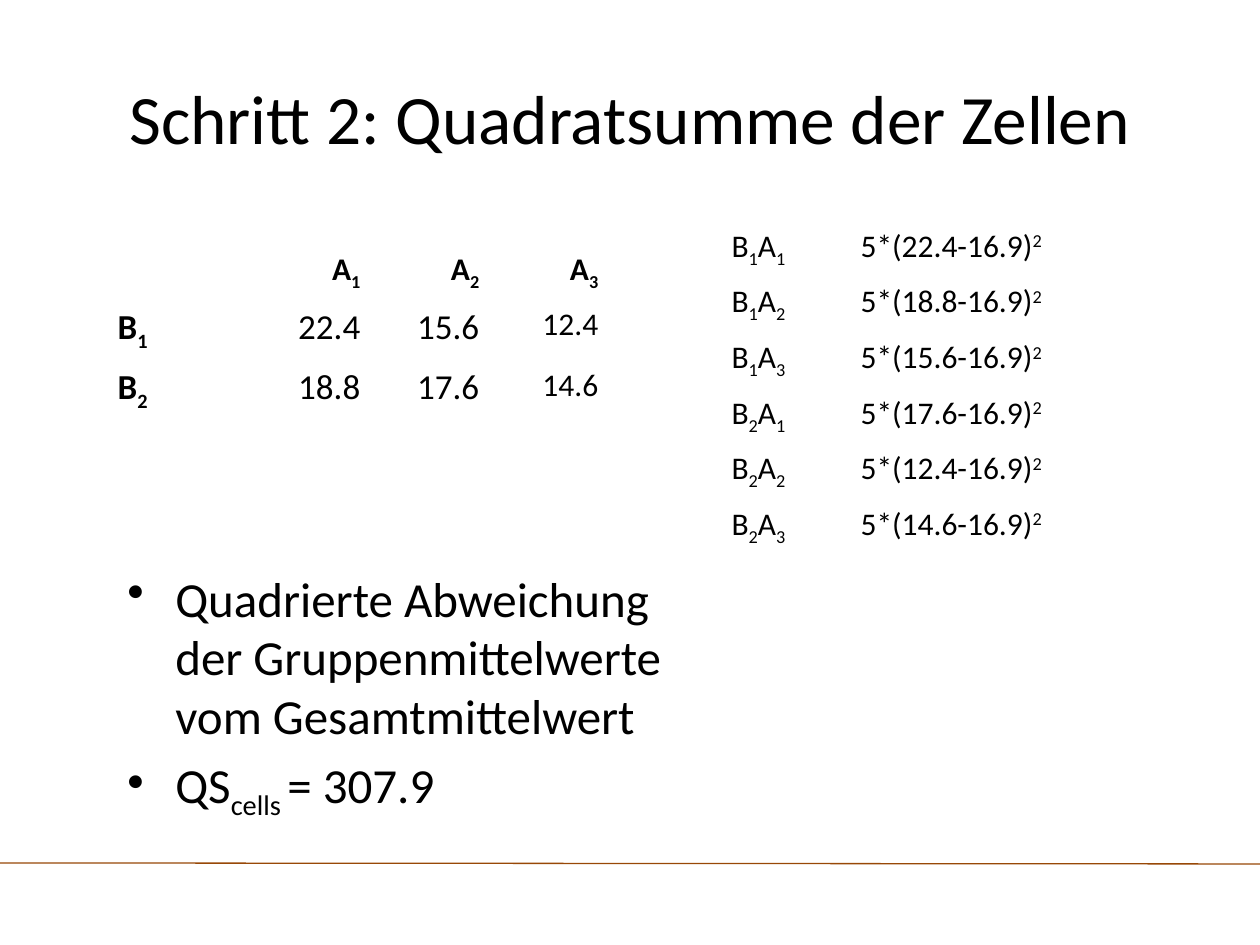
from pptx import Presentation
from pptx.dml.color import RGBColor
from pptx.enum.shapes import MSO_CONNECTOR
from pptx.enum.text import MSO_ANCHOR, PP_ALIGN
from pptx.oxml.ns import qn
from pptx.util import Emu, Pt

LEFT, CENTER, RIGHT = PP_ALIGN.LEFT, PP_ALIGN.CENTER, PP_ALIGN.RIGHT
TOP, MIDDLE = MSO_ANCHOR.TOP, MSO_ANCHOR.MIDDLE
STRAIGHT = MSO_CONNECTOR.STRAIGHT
COLORS = {"text": "000000", "rule": "984807"}
FONT = "Calibri"
SUB, SUPER = -25, 30
SCALE = 914400 // 126


def px(length):
    return Emu(length * SCALE)


def color(name):
    return RGBColor.from_string(COLORS[name])


def write(paragraph, parts, size, bold=False, align=LEFT):
    """Fill a paragraph with plain strings and (string, baseline) pairs."""
    paragraph.alignment = align
    font = paragraph.font
    font.name, font.size, font.bold = FONT, Pt(size), bold
    font.color.rgb = color("text")
    for part in parts:
        text, baseline = (part, 0) if isinstance(part, str) else part
        run = paragraph.add_run()
        run.text = text
        if baseline:
            run.font._element.set("baseline", str(baseline * 1000))


def add_frame(slide, box, anchor):
    frame = slide.shapes.add_textbox(*map(px, box)).text_frame
    frame.word_wrap = True
    frame.vertical_anchor = anchor
    return frame


def add_title(slide, box, title):
    write(add_frame(slide, box, MIDDLE).paragraphs[0], [title], 39.6, align=CENTER)


def add_bullets(slide, box, items, indent=48):
    frame = add_frame(slide, box, TOP)
    for index, parts in enumerate(items):
        paragraph = frame.add_paragraph() if index else frame.paragraphs[0]
        write(paragraph, parts, 28)
        paragraph.space_before = Pt(5.6)
        properties = paragraph._p.get_or_add_pPr()
        properties.set("marL", str(px(indent)))
        properties.set("indent", str(-px(indent)))
        bullet = properties.makeelement(qn("a:buChar"), {"char": "•"})
        properties.find(qn("a:defRPr")).addprevious(bullet)


def add_grid(slide, origin, widths, row_height, rows):
    """Rows hold cells of (parts, size, bold, align)."""
    box = (*origin, sum(widths), row_height * len(rows))
    table = slide.shapes.add_table(len(rows), len(widths), *map(px, box)).table
    table.first_row = table.horz_banding = False
    for column, width in zip(table.columns, widths):
        column.width = px(width)
    for r, row in enumerate(rows):
        for c, content in enumerate(row):
            cell = table.cell(r, c)
            cell.fill.background()
            write(cell.text_frame.paragraphs[0], *content)


def add_means(slide, origin):
    header = [([], 18)] + [(["A", (n, SUB)], 18, True, RIGHT) for n in "123"]
    means = {"1": ["22.4", "15.6", "12.4"], "2": ["18.8", "17.6", "14.6"]}
    rows = [header]
    for level, values in means.items():
        cells = [([value], size, False, RIGHT)
                 for value, size in zip(values, (20, 20, 18))]
        rows.append([(["B", (level, SUB)], 20, True)] + cells)
    add_grid(slide, origin, [149, 119, 119, 119], 26, rows)


def add_squares(slide, origin):
    cell_names = [(b, a) for b in "12" for a in "123"]
    means = ["22.4", "18.8", "15.6", "17.6", "12.4", "14.6"]
    rows = [[(["B", (b, SUB), "A", (a, SUB)], 18),
             ([f"5*({mean}-16.9)", ("2", SUPER)], 18)]
            for (b, a), mean in zip(cell_names, means)]
    add_grid(slide, origin, [129, 268], 51, rows)


def add_footer_rule(slide, start, end):
    rule = slide.shapes.add_connector(STRAIGHT, *map(px, (*start, *end)))
    rule.line.color.rgb = color("rule")
    rule.line.width = Pt(0.75)
    properties = rule._element.spPr
    properties.append(properties.makeelement(qn("a:effectLst"), {}))


presentation = Presentation()
presentation.slide_width, presentation.slide_height = px(1260), px(945)
slide = presentation.slides.add_slide(presentation.slide_layouts[6])

add_footer_rule(slide, (0, 863), (1260, 864))
add_title(slide, (63, 38, 1134, 158), "Schritt 2: Quadratsumme der Zellen")
add_bullets(slide, (115, 562, 566, 268), [
    ["Quadrierte Abweichung der Gruppenmittelwerte vom Gesamtmittelwert"],
    ["QS", ("cells ", SUB), "= 307.9"],
])
add_squares(slide, (719, 221))
add_means(slide, (105, 244))

presentation.save("out.pptx")
